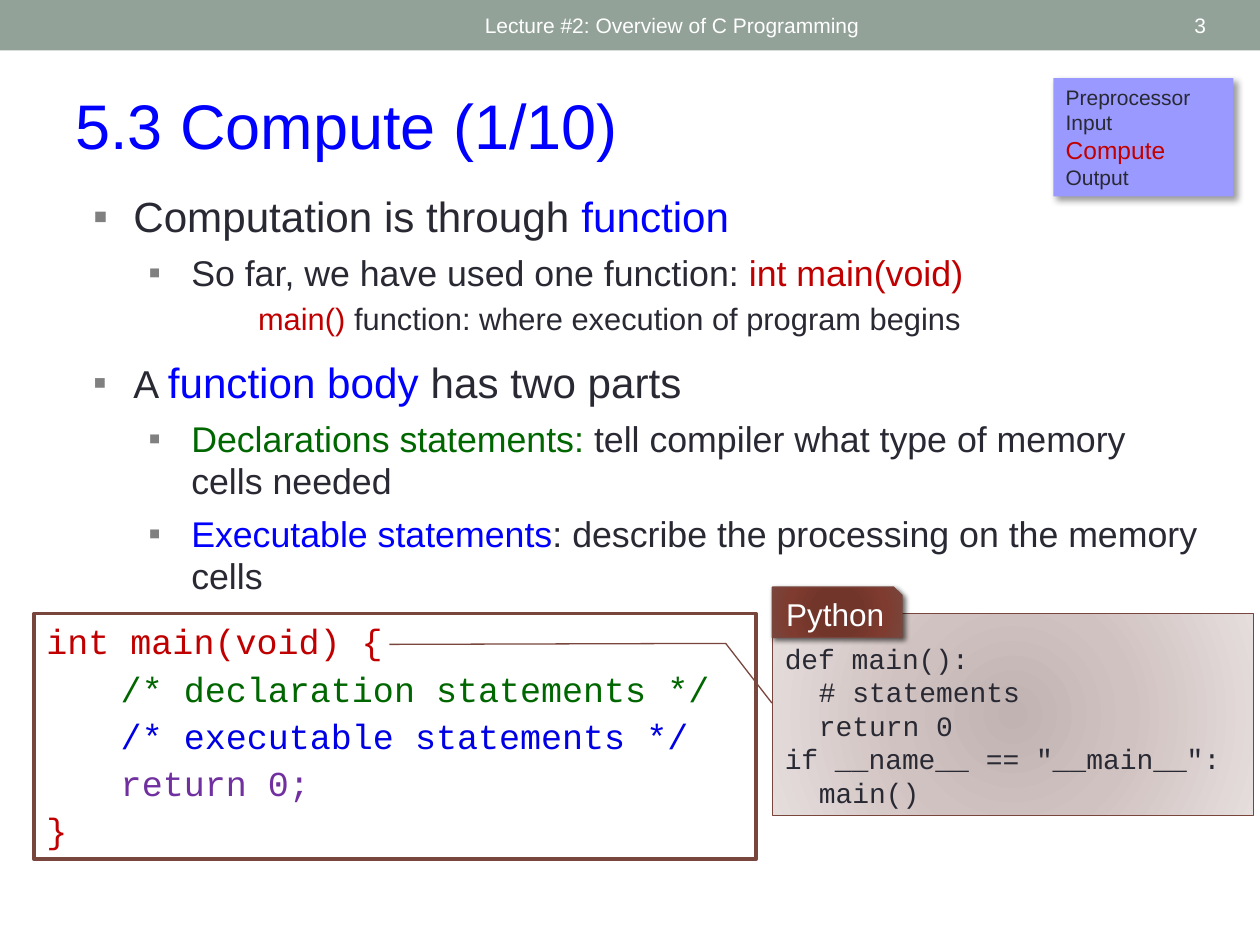
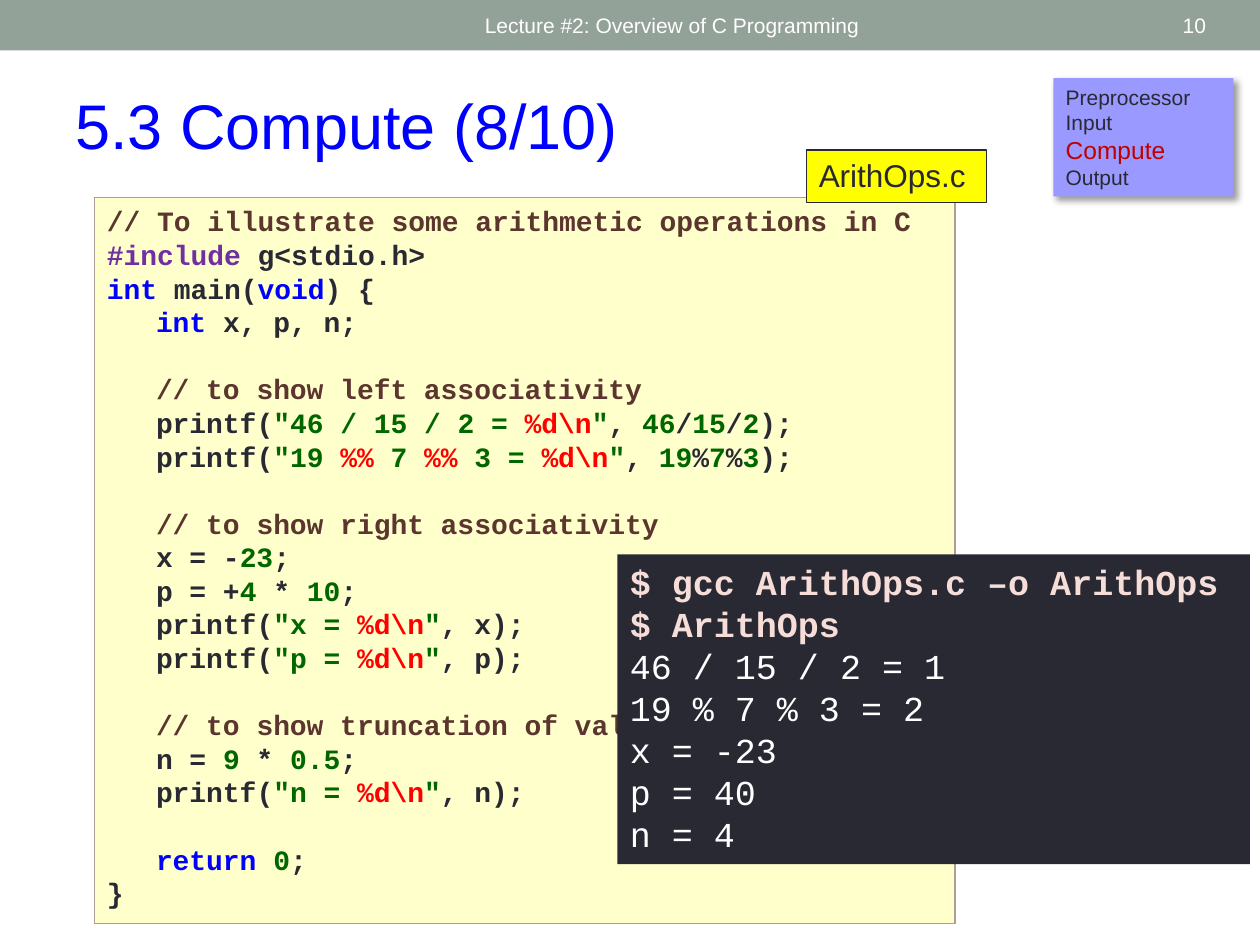
from dataclasses import dataclass
from typing import Optional

from pptx import Presentation
from pptx import util as u
from pptx.dml import color
from pptx.enum import shapes, text
from pptx.oxml import parse_xml
from pptx.oxml import ns

INK, WHITE, BLUE, BROWN, DARK_RED = "292934", "FFFFFF", "0000FF", "79463D", "C00000"
SANS, MONO = "Arial", "Courier New"
TINTS = {"k": BLUE, "g": "006600", "r": "FF0000", "c": "5B352E",
         "p": "7030A0", "d": DARK_RED, "e": "0000E5"}
CODE_SIZE = 16
CODE_GAP = CODE_SIZE * 1.2
RECT = shapes.MSO_SHAPE.RECTANGLE
TOP, MIDDLE, BOTTOM = (text.MSO_ANCHOR.TOP, text.MSO_ANCHOR.MIDDLE,
                       text.MSO_ANCHOR.BOTTOM)
LEFT, CENTER, RIGHT = text.PP_ALIGN.LEFT, text.PP_ALIGN.CENTER, text.PP_ALIGN.RIGHT


@dataclass
class Line:
    """A paragraph; pieces between bars begin with a key of TINTS."""
    markup: str
    size: float = CODE_SIZE
    tint: str = INK
    bold: bool = False
    indent: float = 0
    hang: float = 0
    before: float = 0
    after: float = 0
    align: text.PP_ALIGN = LEFT


@dataclass
class Shadow:
    """An outer shadow: opacity in percent, blur and distance in points."""
    opacity: int
    blur: int
    distance: int


@dataclass
class Panel:
    """A box with its text; without a fill or shape it is a plain text box."""
    at: tuple[float, float, float, float]
    lines: list[Line]
    font: str = SANS
    kind: Optional[shapes.MSO_SHAPE] = RECT
    fill: Optional[str] = None
    glow: tuple[tuple[int, str], ...] = ()
    border: Optional[str] = None
    border_width: float = 0.75
    shadow: Optional[Shadow] = None
    anchor: text.MSO_ANCHOR = TOP
    leading: float = 1.2
    adjustments: tuple[float, ...] = ()


def rgb(value: str) -> color.RGBColor:
    """Turn a hex string into a colour."""
    return color.RGBColor.from_string(value)


def add_glow(box, stops: tuple[tuple[int, str], ...]) -> None:
    """Fill a shape with a round gradient."""
    marks = "".join(f'<a:gs pos="{place * 1000}"><a:srgbClr val="{tint}"/></a:gs>'
                    for place, tint in stops)
    edges = " ".join(f'{side}="100000"' for side in "ltrb")
    box._element.spPr.insert(2, parse_xml(
        f'<a:gradFill {ns.nsdecls("a")}><a:gsLst>{marks}</a:gsLst>'
        f'<a:path path="circle"><a:fillToRect {edges}/></a:path></a:gradFill>'))


def add_shadow(box, shadow: Shadow) -> None:
    """Cast a shadow down and to the right."""
    box._element.spPr.find(ns.qn("a:effectLst")).append(parse_xml(
        f'<a:outerShdw {ns.nsdecls("a")} blurRad="{u.Pt(shadow.blur)}" '
        f'dist="{u.Pt(shadow.distance)}" dir="2700000" algn="tl" rotWithShape="0">'
        f'<a:srgbClr val="000000"><a:alpha val="{shadow.opacity * 1000}"/></a:srgbClr>'
        '</a:outerShdw>'))


def add_indent(para, line: Line) -> None:
    """Indent a paragraph, with a square bullet where it hangs."""
    props = para._p.get_or_add_pPr()
    props.set("marL", str(u.Inches(line.indent)))
    props.set("indent", str(-u.Inches(line.hang)))
    if line.hang:
        for part in ('<a:buClr {}><a:srgbClr val="808080"/></a:buClr>',
                     '<a:buFont {} typeface="Arial"/>', '<a:buChar {} char="▪"/>'):
            props.insert_element_before(parse_xml(part.format(ns.nsdecls("a"))),
                                        "a:tabLst", "a:defRPr", "a:extLst")


def write_lines(frame, panel: Panel) -> None:
    """Write the paragraphs of a panel."""
    frame.word_wrap = True
    frame.vertical_anchor = panel.anchor
    for number, line in enumerate(panel.lines):
        para = frame.add_paragraph() if number else frame.paragraphs[0]
        para.alignment = line.align
        para.line_spacing = u.Pt(line.size * panel.leading)
        para.space_before, para.space_after = u.Pt(line.before), u.Pt(line.after)
        para.font.name, para.font.size = panel.font, u.Pt(line.size)
        para.font.bold = line.bold
        add_indent(para, line)
        for place, piece in enumerate(line.markup.split("|")):
            if piece:
                keyed = place % 2 == 1
                span = para.add_run()
                span.text = piece[1:] if keyed else piece
                span.font.color.rgb = rgb(TINTS[piece[0]] if keyed else line.tint)


def add_panel(page, panel: Panel):
    """Draw a panel and return its box."""
    area = [u.Inches(length) for length in panel.at]
    if panel.kind is None:
        box = page.shapes.add_textbox(*area)
    else:
        box = page.shapes.add_shape(panel.kind, *area)
        box.shadow.inherit = False
        for number, value in enumerate(panel.adjustments):
            box.adjustments[number] = value
        if panel.glow:
            add_glow(box, panel.glow)
        else:
            box.fill.solid()
            box.fill.fore_color.rgb = rgb(panel.fill)
        if panel.border:
            box.line.color.rgb = rgb(panel.border)
            box.line.width = u.Pt(panel.border_width)
        else:
            box.line.fill.background()
        if panel.shadow:
            add_shadow(box, panel.shadow)
    write_lines(box.text_frame, panel)
    return box


def add_page(deck, title: str, number: int):
    """Add a page with header band, title and the list of program steps."""
    page = deck.slides.add_slide(deck.slide_layouts[6])
    steps = [Line("Preprocessor", 12), Line("Input", 12),
             Line("Compute", 14, DARK_RED), Line("Output", 12)]
    for panel in (
        Panel((0, 0, 10, 0.4), [], fill="93A299"),
        Panel((3.75, 0.02, 4.5, 0.36),
              [Line("Lecture #2: Overview of C Programming", 12, WHITE)],
              kind=None, anchor=MIDDLE),
        Panel((0.5, 0.64, 9.29, 0.71), [Line(title, 36, BLUE)], kind=None),
        Panel((8.72, 0.02, 0.95, 0.36), [Line(str(number), 12, WHITE, align=RIGHT)],
              kind=None, anchor=MIDDLE),
        Panel((8.36, 0.62, 1.43, 0.94), steps, fill="9999FF", shadow=Shadow(40, 4, 3)),
    ):
        add_panel(page, panel)
    return page


def topic(markup: str, before: float) -> Line:
    """Make a first-level bullet."""
    return Line(markup, 24.1, indent=0.32, hang=0.32, before=before)


def detail(markup: str) -> Line:
    """Make a second-level bullet."""
    return Line(markup, 20.4, indent=0.78, hang=0.34, before=6)


def skeleton(markup: str, indent: float = 0.59) -> Line:
    """Make a line of the C outline."""
    return Line(markup, 20, indent=indent, after=3)


def code(markup: str, indent: float = 0.39, before: float = 0) -> Line:
    """Make a line of the C program."""
    return Line(markup, bold=True, indent=indent, before=before)


def build_function_page(deck) -> None:
    """Explain the parts of a function in C and Python."""
    page = add_page(deck, "5.3 Compute (1/10)", 3)
    body = add_panel(page, Panel((0.64, 1.47, 9, 3.42), [
        topic("Computation is through |kfunction", 6),
        detail("So far, we have used one function: |dint main(void)"),
        Line("|dmain() |function: where execution of program begins", 17.6,
             indent=1.31, before=3.5),
        topic("A |kfunction body |has two parts", 12),
        detail("|gDeclarations statements:| tell compiler what type of memory cells needed"),
        detail("|kExecutable statements|: describe the processing on the memory cells"),
    ], kind=None, leading=1.18))
    body.text_frame.paragraphs[3].runs[0].font.size = u.Pt(22.2)
    add_panel(page, Panel((0.27, 4.87, 5.73, 1.95), [
        skeleton("|dint main(void) {", 0),
        skeleton("|g/* declaration statements */"),
        skeleton("|e/* executable statements */"),
        skeleton("|preturn 0;"),
        skeleton("|d}", 0),
    ], MONO, fill=WHITE, border=BROWN, border_width=2.08))
    add_panel(page, Panel((6.13, 4.87, 3.82, 1.6), [
        Line("def main():"),
        Line("# statements", indent=0.27),
        Line("return 0", indent=0.27),
        Line('if __name__ == "__main__":'),
        Line("main()", indent=0.27),
    ], MONO, shapes.MSO_SHAPE.LINE_CALLOUT_2,
        glow=((0, "C0B3B1"), (45, "D0C2C0"), (100, "E5DEDD")), border=BROWN,
        anchor=BOTTOM, adjustments=(0.444, -0.001, 0.148, -0.097, 0.153, -0.796)))
    add_panel(page, Panel(
        (6.13, 4.66, 1.03, 0.4), [Line("Python", 18, WHITE, align=CENTER)],
        kind=shapes.MSO_SHAPE.SNIP_1_RECTANGLE,
        glow=((0, "743327"), (34, "72352A"), (70, "7F3B2F"), (100, BROWN)),
        border=BROWN, shadow=Shadow(60, 3, 2), anchor=MIDDLE))


def build_arithmetic_page(deck) -> None:
    """Show a program on arithmetic with its output."""
    page = add_page(deck, "5.3 Compute (8/10)", 10)
    add_panel(page, Panel((0.75, 1.57, 6.83, 5.76), [
        code("|c// To illustrate some arithmetic operations in C", 0),
        code("|p#include |||g<stdio.h>", 0),
        code("|kint| main(|kvoid|) {", 0),
        code("|kint| x, p, n;"),
        code("|c// to show left associativity", before=CODE_GAP),
        code(r'printf(|g"46 / 15 / 2 = ||r%d\n||g"|, |g46|/|g15|/|g2|);'),
        code(r'printf(|g"19 ||r%%||g 7 ||r%%||g 3 = ||r%d\n||g"|, |g19|%|g7|%|g3|);'),
        code("|c// to show right associativity", before=CODE_GAP),
        code("x = -|g23|;"),
        code("p = +|g4| * |g10|;"),
        code(r'printf(|g"x = ||r%d\n||g"|, x);'),
        code(r'printf(|g"p = ||r%d\n||g"|, p);'),
        code("|c// to show truncation of value", before=CODE_GAP),
        code("n = |g9| * |g0.5|;"),
        code(r'printf(|g"n = ||r%d\n||g"|, n);'),
        code("|kreturn ||g0|;", before=CODE_GAP),
        code("}", 0),
    ], MONO, fill="FFFFCC", border="AF9E95"))
    add_panel(page, Panel((6.4, 1.19, 1.43, 0.42), [Line("ArithOps.c", 18)],
                          fill="FFFF00", border=INK))
    commands = ("$ gcc ArithOps.c –o ArithOps", "$ ArithOps")
    results = ("46 / 15 / 2 = 1", "19 % 7 % 3 = 2", "x = -23", "p = 40", "n = 4")
    add_panel(page, Panel(
        (4.9, 4.4, 5.02, 2.46),
        [Line(command, 20, "F6DDD8", True) for command in commands]
        + [Line(result, 20, WHITE) for result in results], MONO, fill=INK))


def main() -> None:
    """Build and save the deck."""
    deck = Presentation()
    deck.slide_width, deck.slide_height = u.Inches(10), u.Inches(7.5)
    build_function_page(deck)
    build_arithmetic_page(deck)
    deck.save("out.pptx")


if __name__ == "__main__":
    main()
